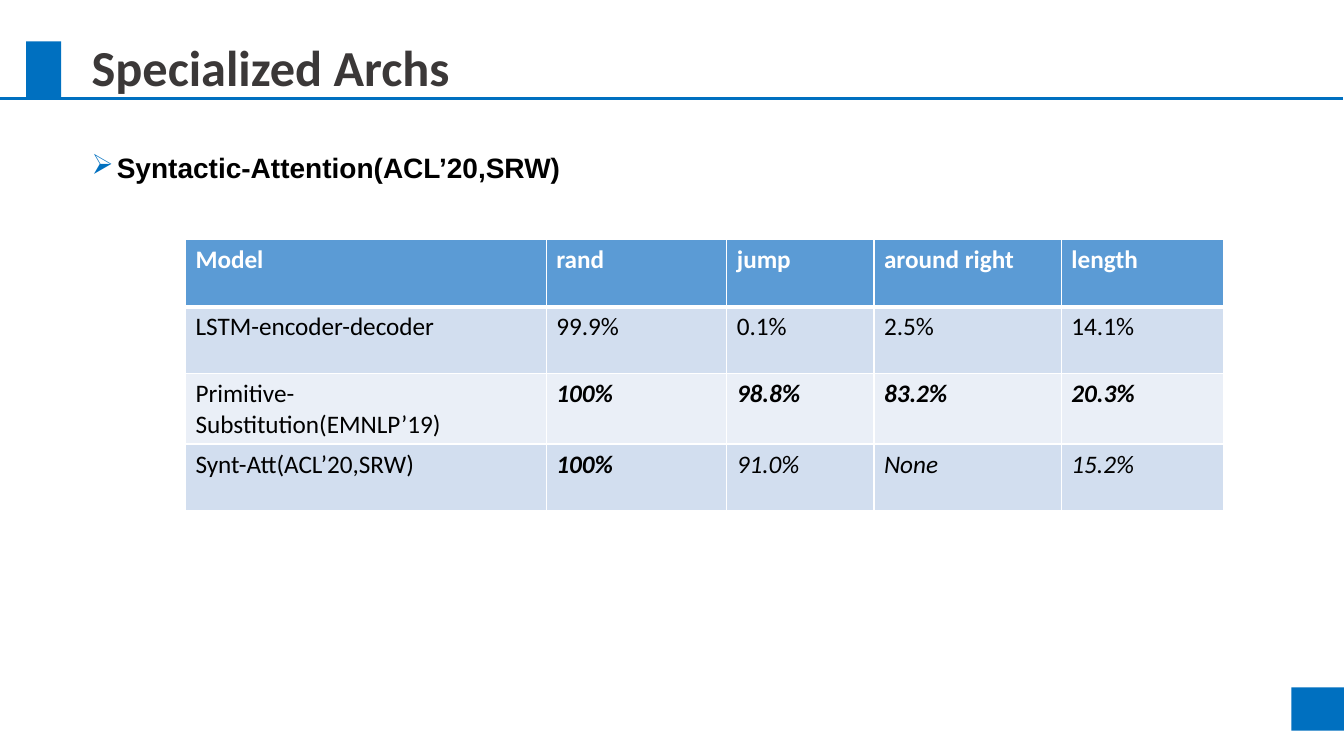
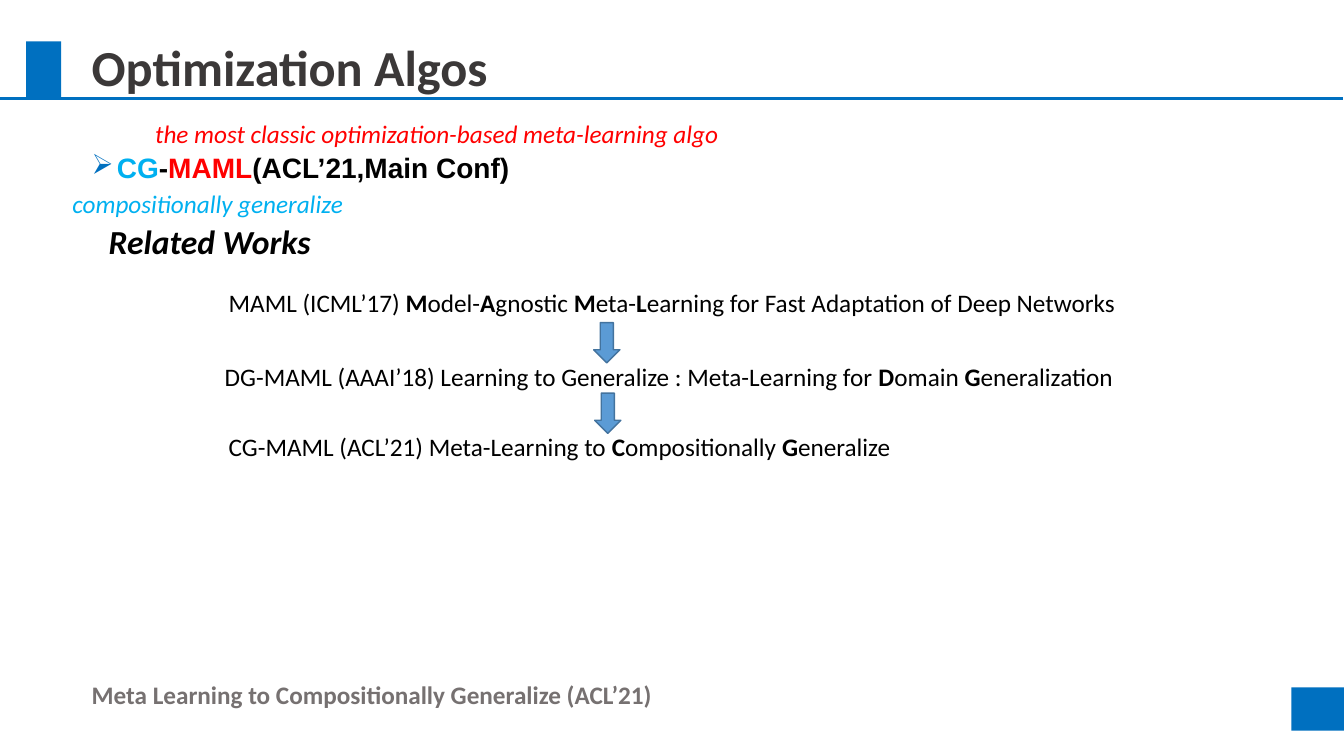
from lxml import etree
from pptx import Presentation, util as u
from pptx.dml.color import RGBColor
from pptx.enum import shapes, text
from pptx.oxml import ns

WIDTH, HEIGHT = u.Inches(13.333), u.Inches(7.5)
COLORS = {
    "brand": "0070C0", "title": "3B3838", "footer": "767171",
    "black": "000000", "white": "FFFFFF", "red": "FF0000", "sky": "00B0F0",
    "header": "5B9BD5", "band": "D2DEEF", "pale": "EAEFF7", "edge": "43739E",
}
LEFT = 6.08  # left margin, in percent of the slide width
STRONG = {"bold": True, "italic": True}
ITALIC = {"italic": True}
PLAIN = {}


def across(share):
    """Length from a percentage of the slide width."""
    return int(WIDTH * share / 100)


def down(share):
    """Length from a percentage of the slide height."""
    return int(HEIGHT * share / 100)


def place(left, top, width, height):
    return across(left), down(top), across(width), down(height)


def rgb(name):
    return RGBColor.from_string(COLORS[name])


def add_child(parent, tag, **attributes):
    return etree.SubElement(parent, ns.qn(tag), attributes)


def add_span(para, words, size=18, color="black", bold=False, italic=False, font="Calibri"):
    span = para.add_run()
    span.text = words
    span.font.name, span.font.size = font, u.Pt(size)
    span.font.bold, span.font.italic = bold, italic
    span.font.color.rgb = rgb(color)


def add_text(page, area, spans, **style):
    """Text box of one paragraph; spans are (words, own style) pairs over a shared style."""
    frame = page.shapes.add_textbox(*place(*area)).text_frame
    frame.word_wrap = True
    para = frame.paragraphs[0]
    for words, own in spans:
        add_span(para, words, **{**style, **own})
    return frame


def add_block(page, preset, area, fill, edge=None):
    block = page.shapes.add_shape(preset, *place(*area))
    block.shadow.inherit = False
    block.fill.solid()
    block.fill.fore_color.rgb = rgb(fill)
    if edge:
        block.line.color.rgb = rgb(edge)
        block.line.width = u.Pt(1)
    else:
        block.line.fill.background()


def add_page(deck, title):
    """Blank page with the shared rule, blue blocks and title."""
    page = deck.slides.add_slide(deck.slide_layouts[6])
    rule = page.shapes.add_connector(
        shapes.MSO_CONNECTOR.STRAIGHT, 0, down(13.07), across(99.9), down(13.07))
    rule.line.color.rgb = rgb("brand")
    rule.line.width = u.Pt(2)
    add_child(rule.element.spPr, "a:effectLst")
    for area in ((1.95, 5.47, 2.6, 7.6), (96.08, 90.93, 3.92, 5.73)):
        add_block(page, shapes.MSO_SHAPE.RECTANGLE, area, "brand")
    frame = add_text(page, (LEFT, 4.53, 80.62, 9.47), [(title, PLAIN)],
                     size=36, color="title", bold=True)
    frame.vertical_anchor = text.MSO_ANCHOR.MIDDLE
    frame.paragraphs[0].line_spacing = 0.9
    return page


def add_topic(page, spans):
    """Bold line with a blue arrowhead bullet."""
    frame = add_text(page, (LEFT, 19.73, 59.92, 6), spans, size=20, bold=True, font="Arial")
    para = frame.paragraphs[0]
    indent = u.Inches(0.25)
    properties = para._p.get_or_add_pPr()
    properties.set("marL", str(indent))
    properties.set("indent", str(-indent))
    add_child(add_child(properties, "a:buClr"), "a:srgbClr", val=COLORS["brand"])
    add_child(properties, "a:buChar", char="➢")
    para.line_spacing = 0.9


def add_borders(cell, top, bottom):
    """White cell borders; top and bottom widths in points."""
    properties = cell._tc.get_or_add_tcPr()
    for side, points in (("L", 1), ("R", 1), ("T", top), ("B", bottom)):
        border = add_child(properties, "a:ln" + side, w=str(u.Pt(points)))
        add_child(add_child(border, "a:solidFill"), "a:srgbClr", val=COLORS["white"])


def add_score_table(page, left, top, widths, row_height, rows):
    """Table from rows of (words, style) pairs, the first row being the header."""
    area = place(left, top, sum(widths), row_height * len(rows))
    table = page.shapes.add_table(len(rows), len(widths), *area).table
    for column, width in zip(table.columns, widths):
        column.width = across(width)
    for r, row in enumerate(rows):
        table.rows[r].height = down(row_height)
        fill = "header" if r == 0 else "band" if r % 2 else "pale"
        for c, (words, style) in enumerate(row):
            cell = table.cell(r, c)
            add_borders(cell, 3 if r == 1 else 1, 3 if r == 0 else 1)
            cell.fill.solid()
            cell.fill.fore_color.rgb = rgb(fill)
            add_span(cell.text_frame.paragraphs[0], words, **style)


def styled(words, style):
    return [(word, style) for word in words]


def initials(words):
    """Spans from words in which every second piece between bars is bold."""
    return [(piece, {"bold": i % 2 == 1}) for i, piece in enumerate(words.split("|"))]


def build_archs(deck):
    page = add_page(deck, "Specialized Archs")
    add_topic(page, [("Syntactic-Attention(ACL’20,SRW)", PLAIN)])
    heading = {"bold": True, "color": "white"}
    rows = [
        styled(["Model", "rand", "jump", "around right", "length"], heading),
        styled(["LSTM-encoder-decoder", "99.9%", "0.1%", "2.5%", "14.1%"], PLAIN),
        [("Primitive-Substitution(EMNLP’19)", PLAIN)]
        + styled(["100%", "98.8%", "83.2%", "20.3%"], STRONG),
        [("Synt-Att(ACL’20,SRW)", PLAIN), ("100%", STRONG)]
        + styled(["91.0%", "None", "15.2%"], ITALIC),
    ]
    add_score_table(page, 13.8, 31.73, [26.85, 13.43, 10.95, 13.95, 12.08], 8.83, rows)


def build_algos(deck):
    page = add_page(deck, "Optimization Algos")
    add_topic(page, [("CG", {"color": "sky"}), ("-", PLAIN), ("MAML", {"color": "red"}),
                     ("(ACL’21,Main Conf)", PLAIN)])
    line = 5.33  # height of one text line, in percent of the slide height
    add_text(page, (LEFT, 89.2, 80.62, line),
             [("Meta Learning to Compositionally Generalize (ACL’21)", PLAIN)],
             color="footer", bold=True)
    add_text(page, (7.35, 28.53, 67.8, 6.67), [("Related Works", STRONG)], size=24)
    papers = [
        (16.28, 37.33, "MAML (ICML’17) |M|odel-|A|gnostic |M|eta-|L|earning"
                       " for Fast Adaptation of Deep Networks"),
        (15.98, 47.07, "DG-MAML (AAAI’18) Learning to Generalize : Meta-Learning for "
                       "|D|omain |G|eneralization"),
        (16.28, 56.4, "CG-MAML (ACL’21) Meta-Learning to |C|ompositionally |G|eneralize"),
    ]
    for left, top, words in papers:
        add_text(page, (left, top, 68.33, line), initials(words))
    for left, top in ((44.18, 42.67), (44.25, 52)):
        add_block(page, shapes.MSO_SHAPE.DOWN_ARROW, (left, top, 1.95, line), "header", "edge")
    add_text(page, (4.65, 24.27, 23.1, line), [("compositionally generalize", ITALIC)],
             color="sky")
    add_text(page, (10.8, 14.93, 44.85, line),
             [("the most classic optimization-based meta-learning algo", ITALIC)], color="red")


def main():
    deck = Presentation()
    deck.slide_width, deck.slide_height = WIDTH, HEIGHT
    build_archs(deck)
    build_algos(deck)
    deck.save("out.pptx")


if __name__ == "__main__":
    main()
